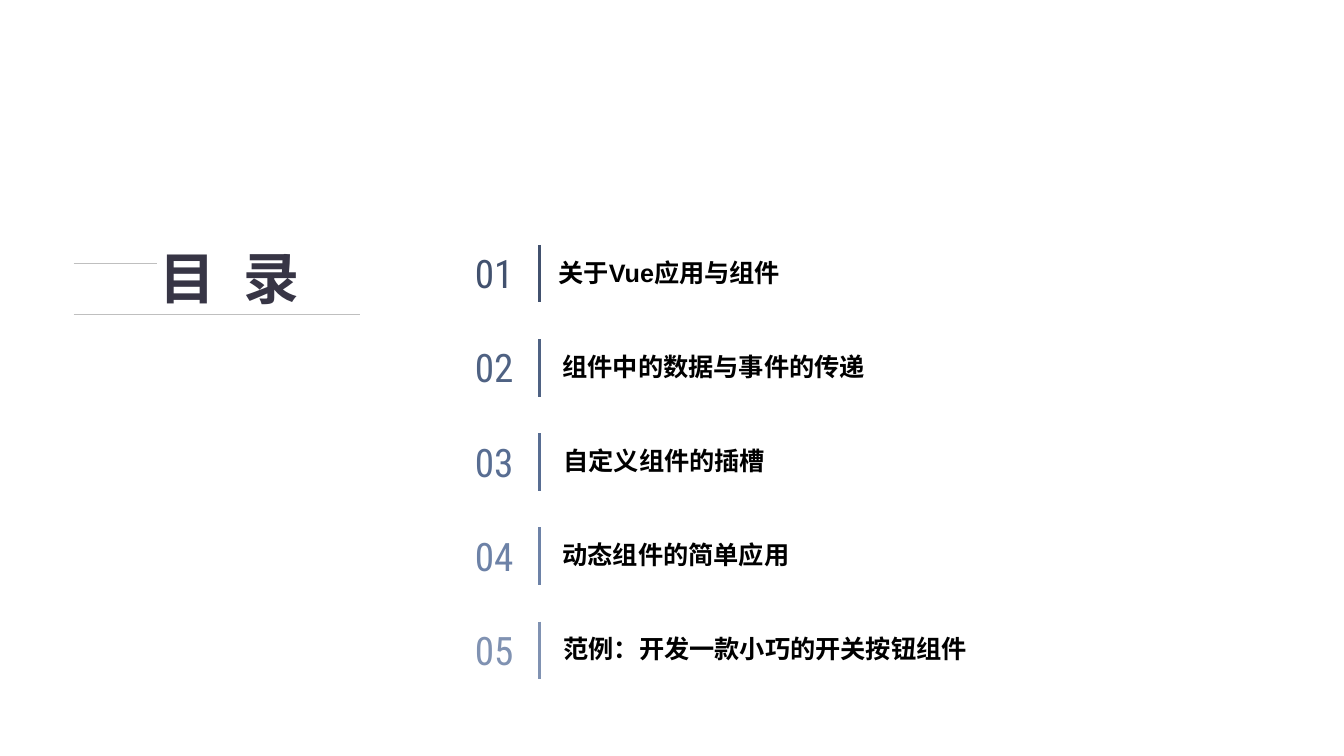
from dataclasses import dataclass

from lxml import etree
from pptx import Presentation
from pptx.dml.color import RGBColor
from pptx.enum.shapes import MSO_CONNECTOR
from pptx.enum.text import MSO_ANCHOR
from pptx.oxml.ns import qn
from pptx.util import Inches, Pt

STRAIGHT = MSO_CONNECTOR.STRAIGHT
MIDDLE = MSO_ANCHOR.MIDDLE
BOTTOM = MSO_ANCHOR.BOTTOM


@dataclass(frozen=True)
class Theme:
    title: str = "373545"
    text: str = "000000"
    rule: str = "BFBFBF"
    steps: tuple = ("42516E", "4F6283", "586D92", "6D82A7", "8092B2")
    font: str = "Arial"
    digits: str = "Roboto Condensed"
    title_size: float = 40
    digit_size: float = 28
    text_size: float = 18


THEME = Theme()

# Each topic with its indent from the bar
TOPICS = (
    ("关于Vue应用与组件", 0.09),
    ("组件中的数据与事件的传递", 0.13),
    ("自定义组件的插槽", 0.14),
    ("动态组件的简单应用", 0.13),
    ("范例：开发一款小巧的开关按钮组件", 0.14),
)


def add_text(slide, box, text, *, size, color, font=THEME.font, bold=False,
             anchor=MIDDLE, inset=(0.1, 0.05), leading=None, track=0):
    """Place one line of text; track is the letter spacing in points."""
    shape = slide.shapes.add_textbox(*map(Inches, box))
    frame = shape.text_frame
    frame.word_wrap = True
    frame.vertical_anchor = anchor
    frame.margin_left = frame.margin_right = Inches(inset[0])
    frame.margin_top = frame.margin_bottom = Inches(inset[1])
    para = frame.paragraphs[0]
    if leading:
        para.line_spacing = leading
    run = para.add_run()
    run.text = text
    run.font.name = font
    run.font.size = Pt(size)
    run.font.bold = bold
    run.font.color.rgb = RGBColor.from_string(color)
    if track:
        run.font._element.set("spc", str(round(track * 100)))


def add_line(slide, start, end, color, width):
    line = slide.shapes.add_connector(STRAIGHT, *map(Inches, start + end))
    line.line.color.rgb = RGBColor.from_string(color)
    line.line.width = Pt(width)
    etree.SubElement(line._element.spPr, qn("a:effectLst"))


def add_title(slide, left, top, width):
    """Draw the heading between a short upper rule and a full lower rule."""
    upper, lower = top + 0.18, top + 0.69
    add_line(slide, (left, upper), (left + 0.83, upper), THEME.rule, 0.5)
    add_line(slide, (left, lower), (left + width, lower), THEME.rule, 0.5)
    add_text(slide, (left + 0.75, top, 1.75, 0.72), "目 录",
             size=THEME.title_size, color=THEME.title, bold=True,
             leading=0.9, track=5.5)


def add_topic(slide, left, top, number, topic, indent, color):
    """Draw one row: number, upright bar and topic."""
    bar = left + 0.64
    add_text(slide, (left, top + 0.03, 0.56, 0.5), f"{number:02}",
             size=THEME.digit_size, color=color, font=THEME.digits,
             inset=(0, 0))
    add_line(slide, (bar, top), (bar, top + 0.57), color, 2.25)
    add_text(slide, (bar + indent, top + 0.09, 4.4, 0.38), topic,
             size=THEME.text_size, color=THEME.text, bold=True, anchor=BOTTOM)


def add_topics(slide, left, top, height):
    pitch = height / len(TOPICS)
    rows = zip(TOPICS, THEME.steps)
    for index, ((topic, indent), color) in enumerate(rows):
        add_topic(slide, left, top + index * pitch, index + 1,
                  topic, indent, color)


def main():
    deck = Presentation()
    deck.slide_width = Inches(13.33)
    deck.slide_height = Inches(7.5)
    slide = deck.slides.add_slide(deck.slide_layouts[6])
    add_title(slide, 0.73, 2.43, 2.84)
    add_topics(slide, 4.71, 2.43, 4.67)
    deck.save("out.pptx")


if __name__ == "__main__":
    main()
